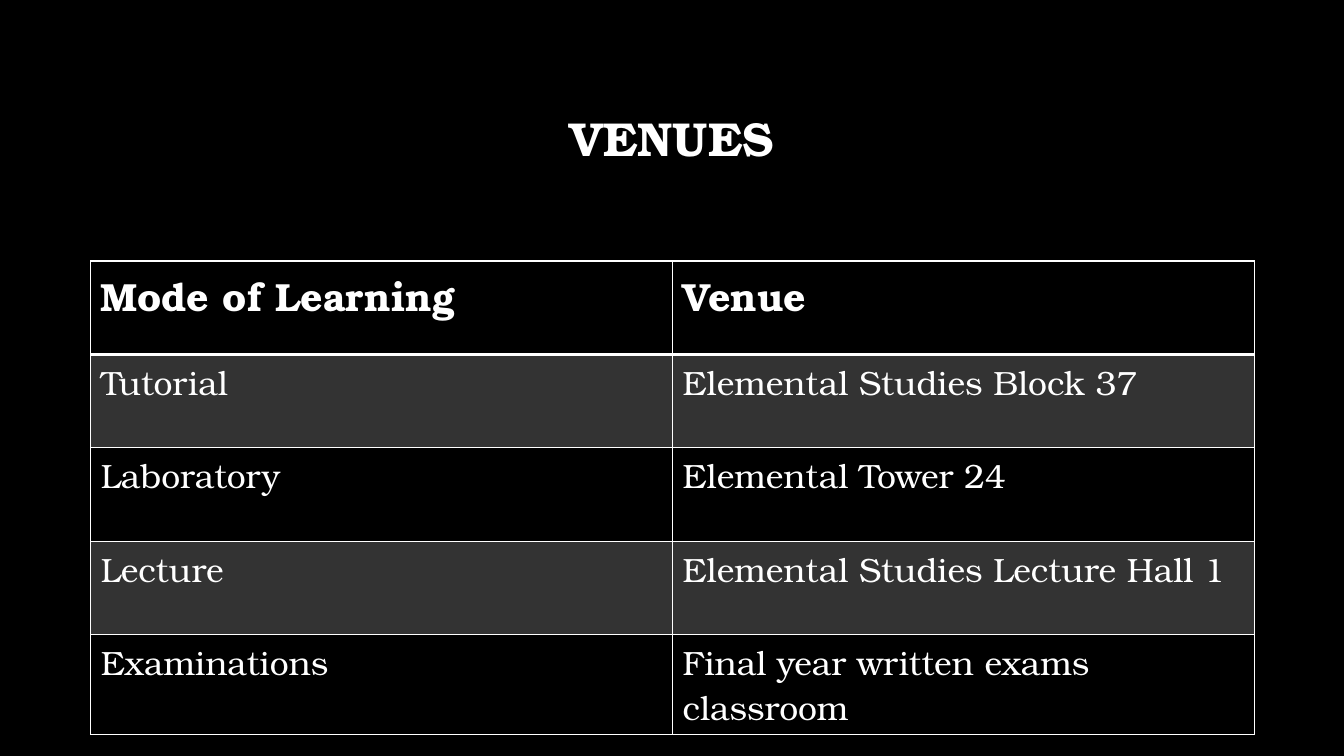
from lxml import etree
from pptx import Presentation
from pptx.dml.color import RGBColor
from pptx.enum.text import MSO_ANCHOR, PP_ALIGN
from pptx.oxml.ns import qn
from pptx.util import Inches, Pt

MIDDLE = MSO_ANCHOR.MIDDLE
CENTER = PP_ALIGN.CENTER

BLACK = RGBColor(0x00, 0x00, 0x00)
WHITE = RGBColor(0xFF, 0xFF, 0xFF)
FONT = "TeX Gyre Bonum"
BAND_OPACITY = 20

VENUES = [
    ("Mode of Learning", "Venue"),
    ("Tutorial", "Elemental Studies Block 37"),
    ("Laboratory", "Elemental Tower 24"),
    ("Lecture", "Elemental Studies Lecture Hall 1"),
    ("Examinations", "Final year written exams classroom"),
]


def format_text(para, size, bold):
    for span in para.runs:
        span.font.name = FONT
        span.font.size = Pt(size)
        span.font.bold = bold
        span.font.color.rgb = WHITE


def add_title(page, text, left, top, width, height):
    title = page.shapes.title
    title.left, title.top = Inches(left), Inches(top)
    title.width, title.height = Inches(width), Inches(height)
    frame = title.text_frame
    frame.text = text
    frame.word_wrap = True
    frame.vertical_anchor = MIDDLE
    para = frame.paragraphs[0]
    para.alignment = CENTER
    para.line_spacing = 0.9
    format_text(para, 34, True)


def set_borders(cell, top, bottom):
    """Draw white borders; top and bottom are widths in points."""
    properties = cell._tc.get_or_add_tcPr()
    for side, width in (("L", 1), ("R", 1), ("T", top), ("B", bottom)):
        line = etree.SubElement(properties, qn(f"a:ln{side}"), w=str(Pt(width)))
        fill = etree.SubElement(line, qn("a:solidFill"))
        etree.SubElement(fill, qn("a:srgbClr"), val=str(WHITE))


def fill_cell(cell, banded):
    if not banded:
        cell.fill.background()
        return
    cell.fill.solid()
    cell.fill.fore_color.rgb = WHITE
    color = cell._tc.tcPr.find(f"{qn('a:solidFill')}/{qn('a:srgbClr')}")
    etree.SubElement(color, qn("a:alpha"), val=str(BAND_OPACITY * 1000))


def add_venue_table(page, rows, left, top, width, height):
    columns = len(rows[0])
    table = page.shapes.add_table(
        len(rows), columns,
        Inches(left), Inches(top), Inches(width), Inches(height),
    ).table
    for column in table.columns:
        column.width = Inches(width / columns)
    for row_index, texts in enumerate(rows):
        table.rows[row_index].height = Inches(height / len(rows))
        is_header = row_index == 0
        for column_index, text in enumerate(texts):
            cell = table.cell(row_index, column_index)
            cell.text_frame.text = text
            format_text(cell.text_frame.paragraphs[0], 28 if is_header else 24, is_header)
            set_borders(cell, 2 if row_index == 1 else 1, 2 if is_header else 1)
            fill_cell(cell, row_index % 2 == 1)


def main():
    deck = Presentation()
    deck.slide_width, deck.slide_height = Inches(13.33), Inches(7.5)
    page = deck.slides.add_slide(deck.slide_layouts[5])
    page.background.fill.solid()
    page.background.fill.fore_color.rgb = BLACK
    add_title(page, "VENUES", 1, 0.67, 11.32, 1.45)
    add_venue_table(page, VENUES, 0.9, 2.59, 11.54, 4.63)
    deck.save("out.pptx")


if __name__ == "__main__":
    main()
